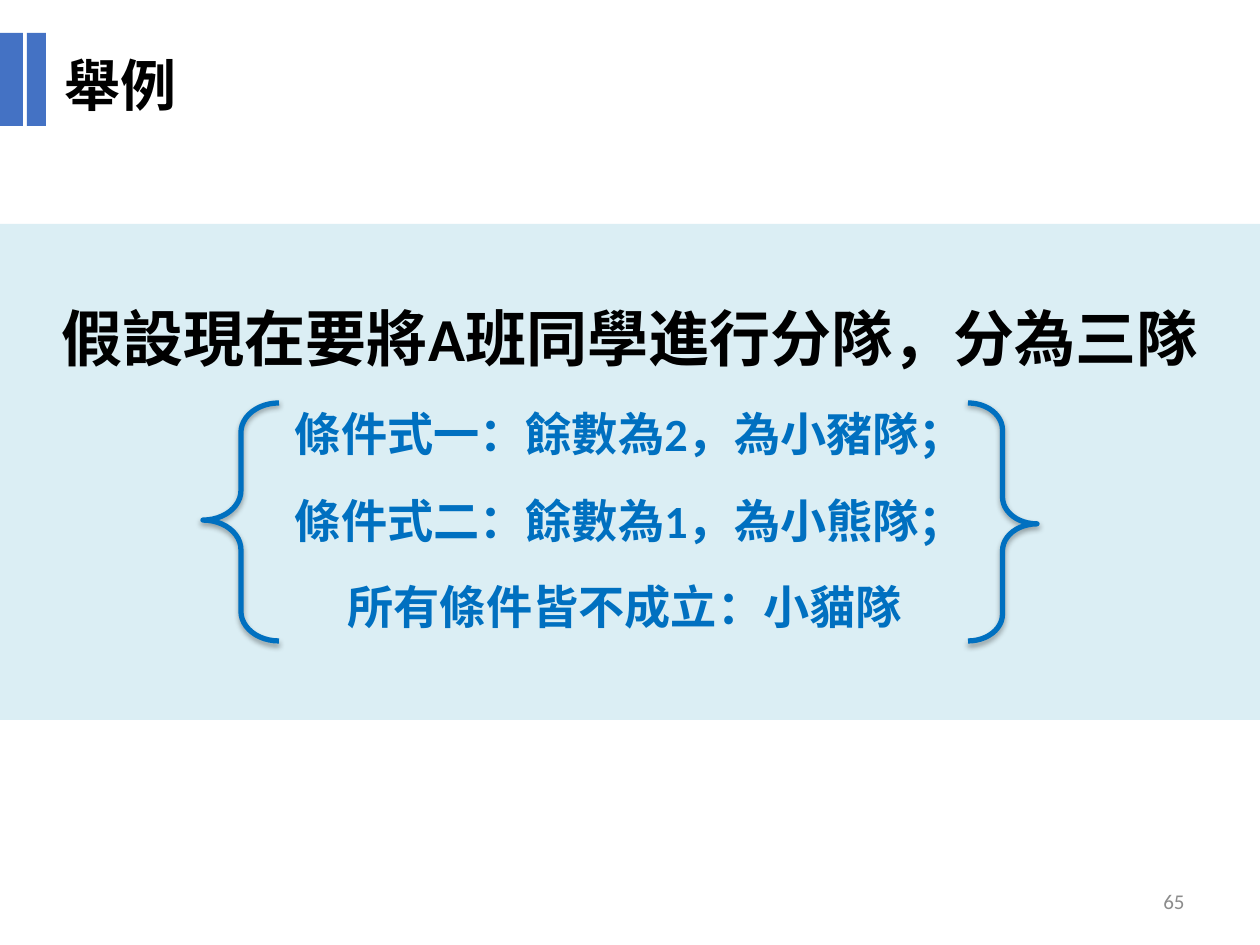
from pptx import Presentation as Deck
from pptx.dml.color import RGBColor as Color
from pptx.enum.shapes import MSO_SHAPE as Shape
from pptx.enum.text import MSO_ANCHOR as Anchor, PP_ALIGN as Align
from pptx.oxml.ns import qn
from pptx.util import Emu, Pt

PIXEL = 914400 // 126
COLORS = {"band": "DBEEF4", "accent": "4472C4", "blue": "0070C0",
          "black": "000000", "gray": "8C8C8C"}
LATIN, CJK = "Calibri", "Noto Sans CJK SC"


def color(name):
    """Return a named colour."""
    return Color.from_string(COLORS[name])


def px(*lengths):
    """Turn pixels into EMU."""
    return [Emu(length * PIXEL) for length in lengths]


def apply(target, values):
    """Set each attribute given in a dict."""
    for name, value in values.items():
        setattr(target, name, value)


def add_block(page, area, fill):
    """Add a plain filled rectangle."""
    block = page.shapes.add_shape(Shape.RECTANGLE, *px(*area))
    block.shadow.inherit = False
    block.fill.solid()
    block.fill.fore_color.rgb = color(fill)
    block.line.fill.background()


def add_brace(page, area, rotation):
    """Add a curly brace with the theme's soft shadow."""
    brace = page.shapes.add_shape(Shape.LEFT_BRACE, *px(*area))
    brace.rotation = rotation
    brace.adjustments[0], brace.adjustments[1] = 0.39, 0.492
    brace.fill.background()
    apply(brace.line, {"width": Pt(3)})
    brace.line.color.rgb = color("blue")


def add_text(page, area, lines, frame_format=None, para_format=None, font=LATIN):
    """Add a text box; each line is (text, size, colour, bold)."""
    frame = page.shapes.add_textbox(*px(*area)).text_frame
    apply(frame, {"word_wrap": True, **(frame_format or {})})
    for index, (text, size, tint, bold) in enumerate(lines):
        para = frame.add_paragraph() if index else frame.paragraphs[0]
        apply(para, para_format or {})
        if len(lines) > 1:
            para.space_before = Pt(round(size * 0.2, 1))
        span = para.add_run()
        span.text = text
        apply(span.font, {"size": Pt(size), "bold": bold, "name": font})
        span.font.color.rgb = color(tint)
        east_asian = span.font._element.makeelement(qn("a:ea"), {"typeface": CJK})
        span.font._element.append(east_asian)


def main():
    """Build the slide and save it."""
    deck = Deck()
    deck.slide_width, deck.slide_height = px(1260, 945)
    page = deck.slides.add_slide(deck.slide_layouts[6])

    add_block(page, (0, 224, 1260, 496), "band")
    add_text(page, (903, 876, 294, 50), [("65", 12, "gray", False)],
             {"vertical_anchor": Anchor.MIDDLE}, {"alignment": Align.RIGHT})
    for left, width in ((0, 23), (27, 19)):
        add_block(page, (left, 33, width, 93), "accent")
    add_text(page, (52, 44, 711, 81), [("舉例", 32, "black", True)], font=CJK)

    conditions = ("條件式一：餘數為2，為小豬隊；", "條件式二：餘數為1，為小熊隊；",
                  "所有條件皆不成立：小貓隊 ")
    lines = [("假設現在要將A班同學進行分隊，分為三隊", 34.9, "black", True)]
    lines += [(text, 26.4, "blue", True) for text in conditions]
    add_text(page, (0, 265, 1260, 417), lines,
             para_format={"alignment": Align.CENTER, "line_spacing": 1.4})

    for left, width, rotation in ((203, 76, 0), (968, 69, 180)):
        add_brace(page, (left, 403, width, 238), rotation)
    deck.save("out.pptx")


main()
